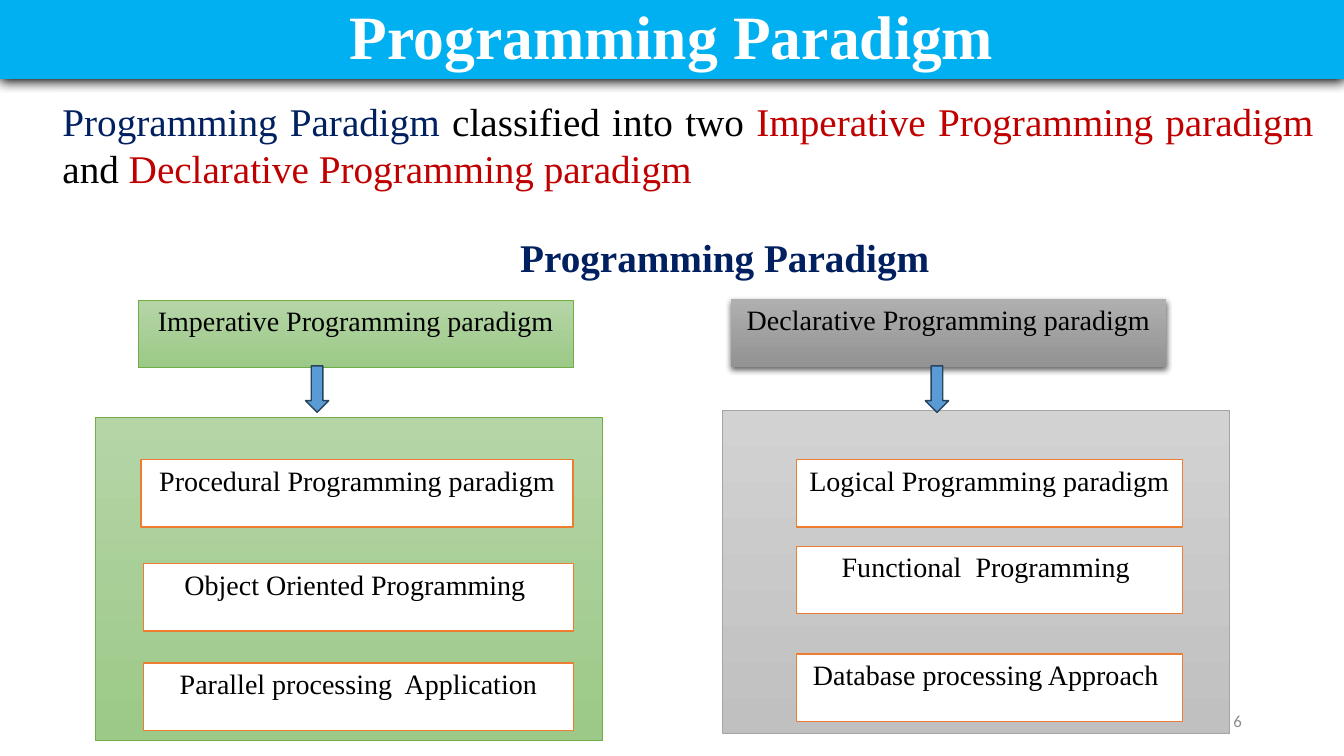
import pptx
import pptx.dml.color
import pptx.enum.shapes
import pptx.enum.text
import pptx.oxml
import pptx.oxml.ns
import pptx.util
from lxml import etree

Pt = pptx.util.Pt
RGBColor = pptx.dml.color.RGBColor
SHAPE = pptx.enum.shapes.MSO_SHAPE
ALIGN = pptx.enum.text.PP_ALIGN
ANCHOR = pptx.enum.text.MSO_ANCHOR

WHITE = RGBColor(0xFF, 0xFF, 0xFF)
BLACK = RGBColor(0, 0, 0)
SKY = RGBColor(0x00, 0xB0, 0xF0)
NAVY = RGBColor(0x00, 0x20, 0x60)
RED = RGBColor(0xC0, 0x00, 0x00)
NUMBER_GRAY = RGBColor(0x8C, 0x8C, 0x8C)
GREEN_LINE = RGBColor(0x70, 0xAD, 0x47)
GRAY_LINE = RGBColor(0xA5, 0xA5, 0xA5)
ORANGE = RGBColor(0xED, 0x7D, 0x31)
BLUE = RGBColor(0x5B, 0x9B, 0xD5)
BLUE_LINE = RGBColor(0x28, 0x44, 0x5D)
GREEN_GRADIENT = (RGBColor(0xB5, 0xD5, 0xA7), RGBColor(0x9C, 0xC9, 0x87))
DARK_GRADIENT = (RGBColor(0xAF, 0xAF, 0xAF), RGBColor(0x93, 0x93, 0x93))
LIGHT_GRADIENT = (RGBColor(0xD2, 0xD2, 0xD2), RGBColor(0xC0, 0xC0, 0xC0))

BOX_HEIGHT = 48.2
PANEL_SIZE = (362.2, 231.1)
ARROW_TOP, ARROW_SIZE = 261.4, (16.6, 33.1)


def add_text(paragraph, text, size=20, font="Times New Roman", color=BLACK, bold=False):
    run = paragraph.add_run()
    run.text = text
    run.font.size = Pt(size)
    run.font.name = font
    run.font.color.rgb = color
    run.font.bold = bold


class ParadigmSlide:
    def __init__(self, presentation):
        self.slide = presentation.slides.add_slide(presentation.slide_layouts[1])
        self.shapes = self.slide.shapes

    def place(self, shape, left, top, width, height):
        shape.left, shape.top = Pt(left), Pt(top)
        shape.width, shape.height = Pt(width), Pt(height)

    def add_shadow(self, shape, blur, distance, opacity):
        shape.shadow.inherit = False
        effects = shape.element.spPr.find(pptx.oxml.ns.qn("a:effectLst"))
        shadow = etree.SubElement(
            effects, pptx.oxml.ns.qn("a:outerShdw"), blurRad=str(Pt(blur)),
            dist=str(Pt(distance)), dir="5400000", algn="ctr", rotWithShape="0")
        color = etree.SubElement(shadow, pptx.oxml.ns.qn("a:srgbClr"), val="000000")
        etree.SubElement(color, pptx.oxml.ns.qn("a:alpha"), val=str(opacity * 1000))

    def add_title(self, text):
        title = self.shapes.title
        self.place(title, 0, 0, 960, 56.4)
        title.fill.solid()
        title.fill.fore_color.rgb = SKY
        self.add_shadow(title, 8.5, 1, 100)
        frame = title.text_frame
        frame.auto_size = pptx.enum.text.MSO_AUTO_SIZE.NONE
        frame.vertical_anchor = ANCHOR.MIDDLE
        paragraph = frame.paragraphs[0]
        paragraph.alignment = ALIGN.CENTER
        paragraph.line_spacing = 0.9
        add_text(paragraph, text, size=44, color=WHITE, bold=True)

    def add_body(self, pieces, heading):
        body = self.slide.placeholders[1]
        self.place(body, 37.4, 66.2, 908, 463)
        body.fill.solid()
        body.fill.fore_color.rgb = WHITE
        frame = body.text_frame
        frame.auto_size = pptx.enum.text.MSO_AUTO_SIZE.NONE
        introduction, subheading = frame.paragraphs[0], frame.add_paragraph()
        introduction.alignment = ALIGN.JUSTIFY
        introduction.space_before = Pt(10)
        for text, color in pieces:
            add_text(introduction, text, size=28, color=color)
        subheading.alignment = ALIGN.LEFT
        subheading.line_spacing = 1.5
        subheading.space_before = Pt(13)
        add_text(subheading, heading, size=28, color=NAVY, bold=True)
        for paragraph, indent in ((introduction, 0), (subheading, 327)):
            properties = paragraph._p.get_or_add_pPr()
            properties.set("marL", str(Pt(indent)))
            properties.set("indent", "0")
            etree.SubElement(properties, pptx.oxml.ns.qn("a:buNone"))

    def add_number(self, text):
        box = self.shapes.add_textbox(Pt(678.2), Pt(500.4), Pt(216), Pt(28.8))
        box.text_frame.word_wrap = True
        box.text_frame.vertical_anchor = ANCHOR.MIDDLE
        paragraph = box.text_frame.paragraphs[0]
        paragraph.alignment = ALIGN.RIGHT
        add_text(paragraph, text, size=12, font="Calibri", color=NUMBER_GRAY)

    def add_block(self, left, top, width, height, fill, line=None, line_width=1,
                  preset=SHAPE.RECTANGLE):
        """Add a shape whose fill is one colour or a (top, bottom) pair."""
        shape = self.shapes.add_shape(preset, Pt(left), Pt(top), Pt(width), Pt(height))
        shape.shadow.inherit = False
        if isinstance(fill, RGBColor):
            shape.fill.solid()
            shape.fill.fore_color.rgb = fill
        else:
            shape.fill.gradient()
            shape.fill.gradient_angle = 270
            for stop, color, position in zip(shape.fill.gradient_stops, fill, (0, 1)):
                stop.color.rgb = color
                stop.position = position
        if line is None:
            shape.line.fill.background()
        else:
            shape.line.color.rgb = line
            shape.line.width = Pt(line_width)
        return shape

    def add_label(self, text, left, top, width, fill=WHITE, line=ORANGE, line_width=1):
        shape = self.add_block(left, top, width, BOX_HEIGHT, fill, line, line_width)
        frame = shape.text_frame
        frame.word_wrap = True
        frame.vertical_anchor = ANCHOR.TOP
        frame.margin_top = Pt(2.5)
        frame.paragraphs[0].alignment = ALIGN.CENTER
        add_text(frame.paragraphs[0], text)
        return shape

    def add_arrow(self, left):
        self.add_block(left, ARROW_TOP, *ARROW_SIZE, BLUE, BLUE_LINE, preset=SHAPE.DOWN_ARROW)


def main():
    presentation = pptx.Presentation()
    presentation.slide_width, presentation.slide_height = Pt(960), Pt(540)
    page = ParadigmSlide(presentation)
    page.add_title("Programming Paradigm")
    page.add_body([
        ("Programming Paradigm ", NAVY),
        ("classified into two ", BLACK),
        ("Imperative Programming paradigm ", RED),
        ("and ", BLACK),
        ("Declarative Programming paradigm", RED),
    ], "Programming Paradigm")
    page.add_number("6")

    page.add_label("Imperative Programming paradigm", 98.6, 214.6, 311,
                   GREEN_GRADIENT, GREEN_LINE, 0.5)
    declarative = page.add_label("Declarative Programming paradigm", 522, 213.8, 311,
                                 DARK_GRADIENT, None)
    page.add_shadow(declarative, 4.5, 1.5, 63)

    page.add_block(516.2, 293, *PANEL_SIZE, LIGHT_GRADIENT, GRAY_LINE, 0.5)
    page.add_block(68.4, 298.1, *PANEL_SIZE, GREEN_GRADIENT, GREEN_LINE, 0.5)
    for text, left, top, width in (
        ("Logical Programming paradigm", 568.8, 328.3, 275.8),
        ("Functional  Programming ", 568.8, 390.2, 275.8),
        ("Database processing Approach ", 568.8, 467.3, 275.8),
        ("Procedural Programming paradigm", 100.8, 328.3, 308.5),
        ("Object Oriented Programming ", 102.6, 402.7, 307),
        ("Parallel processing  Application", 102.6, 473.6, 307),
    ):
        page.add_label(text, left, top, width)

    for left in (661, 218.2):
        page.add_arrow(left)
    presentation.save("out.pptx")


if __name__ == "__main__":
    main()
